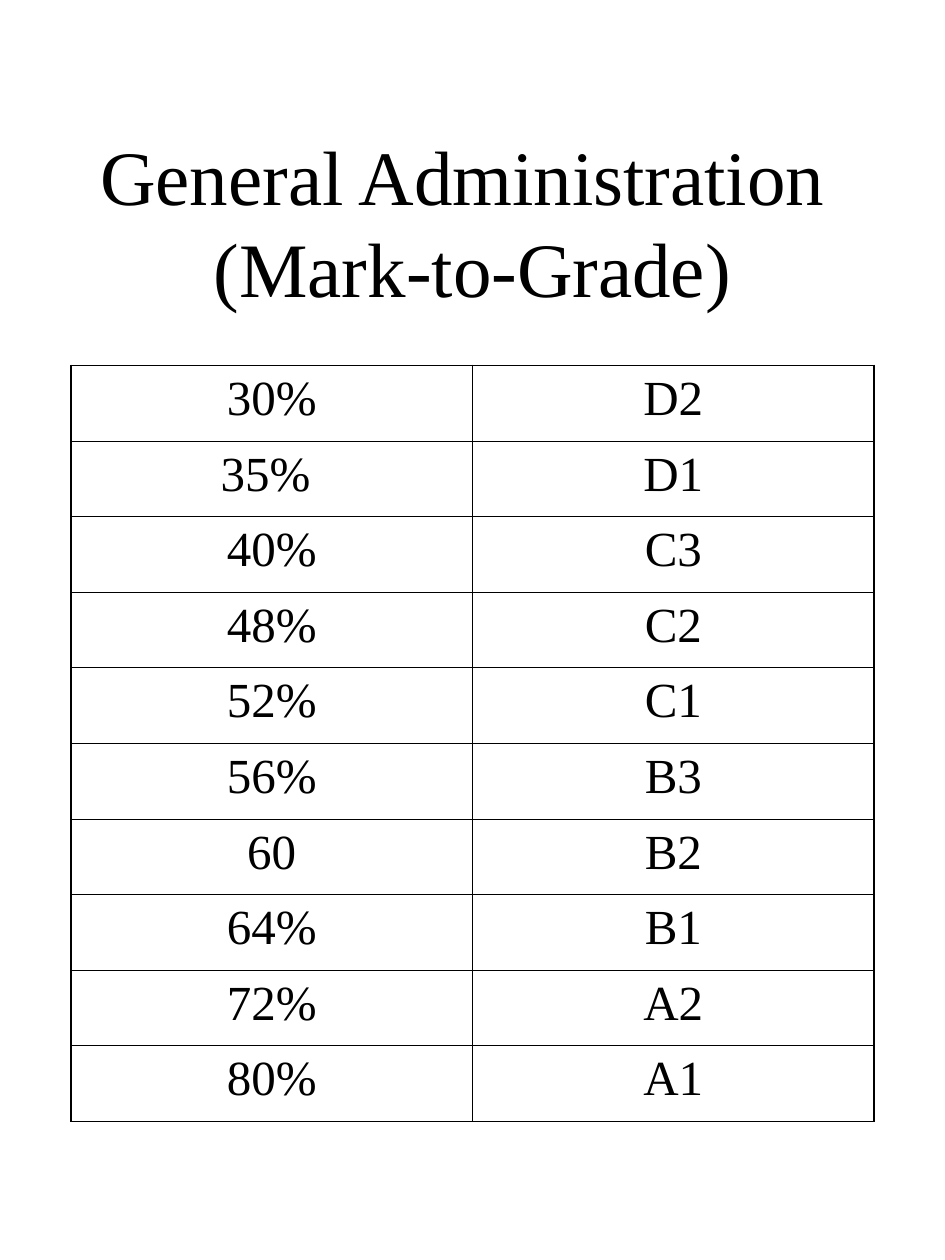
"""Build the mark-to-grade slide: a title above a two-column table."""
from lxml.etree import SubElement
from pptx import Presentation
from pptx.dml.color import RGBColor
from pptx.enum.text import MSO_ANCHOR, PP_ALIGN
from pptx.oxml.ns import qn
from pptx.util import Inches, Pt

BLACK = RGBColor(0x00, 0x00, 0x00)
FONT = "Times New Roman"
THIN, THICK = Pt(0.45), Pt(1.08)
GRADES = [
    ("30%", "D2"), ("35% ", "D1"), ("40%", "C3"), ("48%", "C2"), ("52%", "C1"),
    ("56%", "B3"), ("60", "B2"), ("64%", "B1"), ("72%", "A2"), ("80%", "A1"),
]


def format_text(paragraph, size):
    paragraph.alignment = PP_ALIGN.CENTER
    for run in paragraph.runs:
        run.font.name = FONT
        run.font.size = Pt(size)
        run.font.color.rgb = BLACK


def add_border(cell, side, width):
    line = SubElement(cell._tc.get_or_add_tcPr(), qn(f"a:{side}"), w=str(width))
    fill = SubElement(line, qn("a:solidFill"))
    SubElement(fill, qn("a:srgbClr"), val=str(BLACK))


presentation = Presentation()
presentation.slide_width = Inches(7.5)
presentation.slide_height = Inches(10)
slide = presentation.slides.add_slide(presentation.slide_layouts[6])

left = int(presentation.slide_width * 0.075)
width = presentation.slide_width - 2 * left
row_height = int(presentation.slide_height * 0.06)
title_top = int(presentation.slide_height * 0.09)
title_height = int(presentation.slide_height * 0.17)
table_top = int(presentation.slide_height * 0.29)

title = slide.shapes.add_textbox(left, title_top, width, title_height)
title_frame = title.text_frame
title_frame.word_wrap = True
title_frame.vertical_anchor = MSO_ANCHOR.MIDDLE
title_frame.text = "General Administration \v(Mark-to-Grade)"
format_text(title_frame.paragraphs[0], 44)

last_row, last_column = len(GRADES) - 1, len(GRADES[0]) - 1
table = slide.shapes.add_table(
    len(GRADES), len(GRADES[0]), left, table_top, width, row_height * len(GRADES)
).table
table.first_row = False
table.horz_banding = False

for row, grade in enumerate(GRADES):
    for column, text in enumerate(grade):
        cell = table.cell(row, column)
        cell.text = text
        paragraph = cell.text_frame.paragraphs[0]
        paragraph.space_before = Pt(7)
        format_text(paragraph, 28)
        outer_sides = {
            "lnL": column == 0,
            "lnR": column == last_column,
            "lnT": row == 0,
            "lnB": row == last_row,
        }
        for side, is_outer in outer_sides.items():
            add_border(cell, side, THICK if is_outer else THIN)
        cell.fill.background()

presentation.save("out.pptx")
